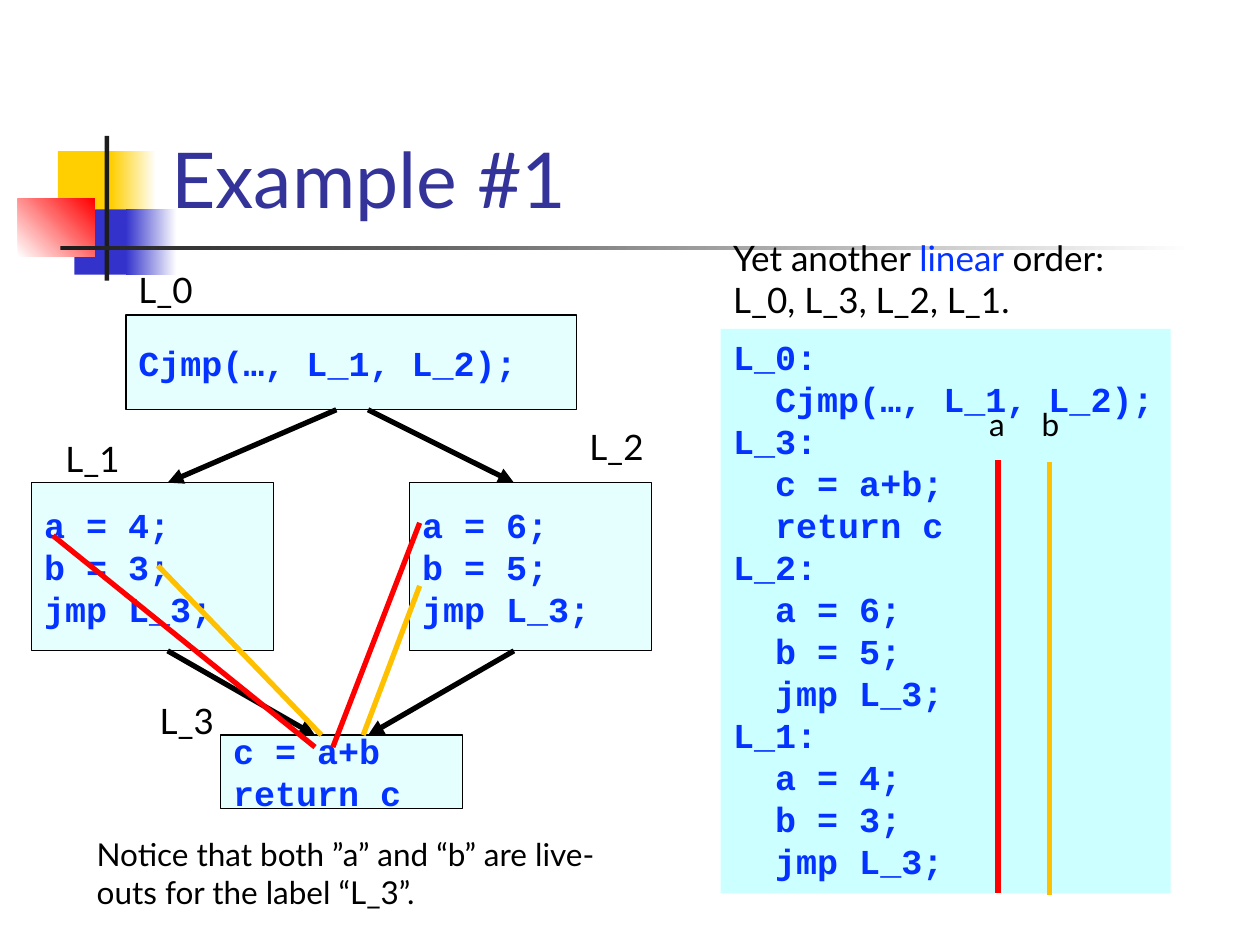
from lxml import etree
from pptx import Presentation
from pptx.dml.color import RGBColor
from pptx.enum.shapes import MSO_CONNECTOR, MSO_SHAPE
from pptx.enum.text import MSO_ANCHOR, PP_ALIGN
from pptx.oxml.ns import qn
from pptx.util import Cm, Pt

RECT = MSO_SHAPE.RECTANGLE
LINE = MSO_CONNECTOR.STRAIGHT
TOP, MIDDLE, BOTTOM = MSO_ANCHOR.TOP, MSO_ANCHOR.MIDDLE, MSO_ANCHOR.BOTTOM
LEFT = PP_ALIGN.LEFT

BLACK, WHITE, RED = "000000", "FFFFFF", "FF0000"
GOLD, NAVY, DARK = "FFCF01", "3333CC", "1C1C1C"
AMBER, BLUE, AQUA, TITLE = "FFC000", "0432FF", "CCFFFF", "333399"
SANS, MONO = "Lato", "Courier New"


def rgb(code):
    return RGBColor.from_string(code)


class Board:
    def __init__(self, slide):
        self.shapes = slide.shapes

    def rect(self, box, fill, fade=None, angle=0):
        shape = self.shapes.add_shape(RECT, *map(Cm, box))
        shape.shadow.inherit = False
        shape.line.fill.background()
        if fade:
            shape.fill.gradient()
            shape.fill.gradient_angle = angle
            for stop, code in zip(shape.fill.gradient_stops, (fill, fade)):
                stop.color.rgb = rgb(code)
        else:
            shape.fill.solid()
            shape.fill.fore_color.rgb = rgb(fill)
        return shape

    def label(self, shape, lines, size, font=SANS, color=BLACK, bold=False,
              anchor=TOP, wrap=True):
        frame = shape.text_frame
        frame.word_wrap = wrap
        frame.vertical_anchor = anchor
        for i, line in enumerate(lines):
            para = frame.add_paragraph() if i else frame.paragraphs[0]
            para.alignment = LEFT
            for part in [line] if isinstance(line, str) else line:
                text, tint = (part, color) if isinstance(part, str) else part
                run = para.add_run()
                run.text = text
                run.font.name = font
                run.font.size = Pt(size)
                run.font.bold = bold
                run.font.color.rgb = rgb(tint)

    def text(self, box, lines, size=20, **style):
        self.label(self.shapes.add_textbox(*map(Cm, box)), lines, size, **style)

    def code(self, shape, lines, anchor=TOP):
        self.label(shape, lines, 20, MONO, BLUE, True, anchor, False)

    def block(self, box, lines):
        shape = self.rect(box, AQUA)
        shape.line.color.rgb = rgb(BLACK)
        shape.line.width = Pt(0.75)
        tint = shape._element.spPr.find(qn("a:solidFill"))[0]
        etree.SubElement(tint, qn("a:alpha"), val="50000")
        self.code(shape, lines, MIDDLE)

    def line(self, ends, color, arrow=False):
        link = self.shapes.add_connector(LINE, *map(Cm, ends))
        link.line.color.rgb = rgb(color)
        link.line.width = Pt(3)
        props = link._element.spPr
        if arrow:
            stroke = props.find(qn("a:ln"))
            etree.SubElement(stroke, qn("a:tailEnd"), type="triangle")
        etree.SubElement(props, qn("a:effectLst"))


def main():
    deck = Presentation()
    deck.slide_width, deck.slide_height = Cm(25.4), Cm(19.05)
    board = Board(deck.slides.add_slide(deck.slide_layouts[6]))

    board.rect((1.17, 3.05, 1.22, 1.32), GOLD)
    board.rect((2.24, 3.05, 0.91, 1.32), GOLD, WHITE)
    board.rect((1.5, 4.22, 1.17, 1.32), NAVY)
    board.rect((2.54, 4.22, 1.02, 1.32), NAVY, WHITE)
    board.rect((0.36, 4.01, 1.55, 1.17), WHITE, RED, 45)
    board.rect((2.11, 2.74, 0.09, 2.92), DARK)
    board.rect((1.22, 4.95, 22.86, 0.09), DARK, WHITE)
    board.text((3.2, 0.58, 21.64, 4.06), ["Example #1"], 44,
               color=TITLE, anchor=BOTTOM)

    parts = {
        "L_0": ["Cjmp(…, L_1, L_2);"],
        "L_1": ["a = 4;", "b = 3;", "jmp L_3;"],
        "L_2": ["a = 6;", "b = 5;", "jmp L_3;"],
        "L_3": ["c = a+b", "return c"],
    }
    listing = []
    for name in ("L_0", "L_3", "L_2", "L_1"):
        listing.append(name + ":")
        listing += ["  " + row for row in parts[name]]
    listing[3] += ";"
    board.code(board.rect((14.53, 6.63, 9.07, 11.38), AQUA), listing)

    places = {
        "L_0": ((2.54, 6.35, 9.09, 1.9), (2.54, 5.28)),
        "L_1": ((0.64, 9.73, 4.88, 3.39), (1.07, 8.69)),
        "L_2": ((8.26, 9.73, 4.88, 3.39), (11.63, 8.46)),
        "L_3": ((4.45, 14.82, 4.88, 1.48), (2.97, 13.97)),
    }
    for name, (box, spot) in places.items():
        board.block(box, parts[name])
        board.text((*spot, 1.9, 1.09), [name])

    for ends in ((6.78, 8.26, 3.38, 9.73), (7.42, 8.26, 10.36, 9.73),
                 (3.38, 13.12, 6.35, 14.82), (10.36, 13.12, 7.42, 14.82)):
        board.line(ends, BLACK, True)

    board.text((14.53, 4.65, 10.74, 1.96),
               [["Yet another ", ("linear ", BLUE), "order:"],
                "L_0, L_3, L_2, L_1."])

    for name, left, x, top, color in (("a", 19.69, 20.12, 9.27, RED),
                                      ("b", 20.75, 21.16, 9.32, AMBER)):
        board.line((x, top, x, top + 8.73), color)
        board.text((left, 8.05, 1.27, 1.02), [name], 18)

    for ends, color in (((1.07, 10.8, 6.35, 15.06), RED),
                        ((8.46, 10.54, 6.71, 15.06), RED),
                        ((3.18, 11.4, 6.48, 14.82), AMBER),
                        ((8.46, 11.81, 7.32, 14.82), AMBER)):
        board.line(ends, color)

    board.text((1.7, 16.71, 11, 1.8),
               ["Notice that both ”a” and “b” are live-outs "
                "for the label “L_3”."], 18)
    deck.save("out.pptx")


if __name__ == "__main__":
    main()
